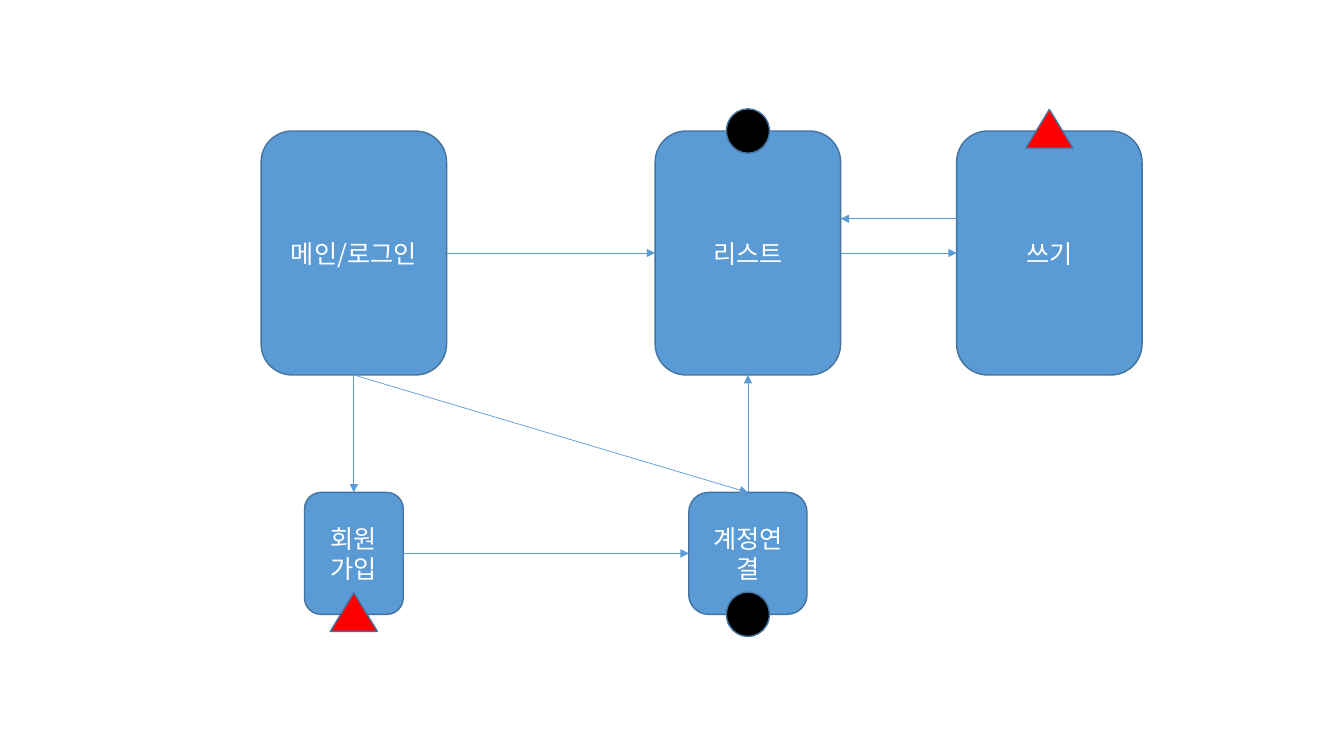
from lxml import etree
from pptx import Presentation
from pptx import util as u
from pptx.dml.color import RGBColor
from pptx.enum import shapes, text
from pptx.oxml.ns import qn

COLORS = {"box": "5B9BD5", "outline": "43739E", "text": "FFFFFF",
          "circle": "000000", "triangle": "FF0000"}
COLUMNS = {"login": 26.33, "list": 55.65, "write": 78.08}
ROWS = {"screens": 33.47, "account": 73.2}
SCREEN = (13.8, 32.27)
TOP, BOTTOM, LEFT, RIGHT = 0, 2, 1, 3


class FlowSlide:
    font = "Noto Sans CJK KR"
    font_size = u.Pt(18)

    def __init__(self, presentation):
        self.width = presentation.slide_width
        self.height = presentation.slide_height
        self.slide = presentation.slides.add_slide(presentation.slide_layouts[6])

    def x(self, share):
        return round(self.width * share / 100)

    def y(self, share):
        return round(self.height * share / 100)

    def color(self, name):
        return RGBColor.from_string(COLORS[name])

    def centred(self, kind, center, size, fill):
        (column, row), (width, height) = center, size
        shape = self.slide.shapes.add_shape(
            kind, self.x(column - width / 2), self.y(row - height / 2),
            self.x(width), self.y(height))
        shape.shadow.inherit = False
        shape.fill.solid()
        shape.fill.fore_color.rgb = self.color(fill)
        shape.line.color.rgb = self.color("outline")
        shape.line.width = u.Pt(1)
        return shape

    def box(self, label, column, row, size):
        shape = self.centred(shapes.MSO_SHAPE.ROUNDED_RECTANGLE,
                             (COLUMNS[column], ROWS[row]), size, "box")
        frame = shape.text_frame
        frame.text = label
        frame.word_wrap = True
        frame.vertical_anchor = text.MSO_ANCHOR.MIDDLE
        paragraph = frame.paragraphs[0]
        paragraph.alignment = text.PP_ALIGN.CENTER
        for run in paragraph.runs:
            run.font.size = self.font_size
            run.font.name = self.font
            run.font.color.rgb = self.color("text")
            east_asian = etree.SubElement(run.font._element, qn("a:ea"))
            east_asian.set("typeface", self.font)
        return shape

    def marker(self, name, box, side):
        kind, size, lift = {
            "circle": (shapes.MSO_SHAPE.OVAL, (3.2, 5.87), 0),
            "triangle": (shapes.MSO_SHAPE.ISOSCELES_TRIANGLE, (3.5, 5.1), 0.3),
        }[name]
        column = (box.left + box.width / 2) / self.width * 100
        edge = box.top + (box.height if side == BOTTOM else 0)
        self.centred(kind, (column, edge / self.height * 100 - lift), size, name)

    def line(self, start_x, start_y, end_x, end_y):
        connector = self.slide.shapes.add_connector(
            shapes.MSO_CONNECTOR.STRAIGHT, start_x, start_y, end_x, end_y)
        connector.line.color.rgb = self.color("box")
        connector.line.width = u.Pt(0.5)
        arrowhead = etree.SubElement(connector.line._get_or_add_ln(), qn("a:tailEnd"))
        arrowhead.set("type", "triangle")
        etree.SubElement(connector._element.spPr, qn("a:effectLst"))
        return connector

    def arrow(self, source, source_side, target, target_side):
        connector = self.line(0, 0, 0, 0)
        connector.begin_connect(source, source_side)
        connector.end_connect(target, target_side)


def main():
    presentation = Presentation()
    presentation.slide_width = u.Inches(13.33)
    presentation.slide_height = u.Inches(7.5)
    flow = FlowSlide(presentation)

    login = flow.box("메인/로그인", "login", "screens", SCREEN)
    listing = flow.box("리스트", "list", "screens", SCREEN)
    write = flow.box("쓰기", "write", "screens", SCREEN)
    signup = flow.box("회원가입", "login", "account", (7.35, 16.13))
    link = flow.box("계정연결", "list", "account", (8.8, 16.13))

    for route in [(login, BOTTOM, signup, TOP), (signup, RIGHT, link, LEFT),
                  (login, BOTTOM, link, TOP), (link, TOP, listing, BOTTOM),
                  (login, RIGHT, listing, LEFT), (listing, RIGHT, write, LEFT)]:
        flow.arrow(*route)
    return_row = flow.y(28.93)
    flow.line(write.left, return_row, listing.left + listing.width, return_row)

    for marker in [("circle", link, BOTTOM), ("triangle", signup, BOTTOM),
                   ("circle", listing, TOP), ("triangle", write, TOP)]:
        flow.marker(*marker)

    presentation.save("out.pptx")


if __name__ == "__main__":
    main()
